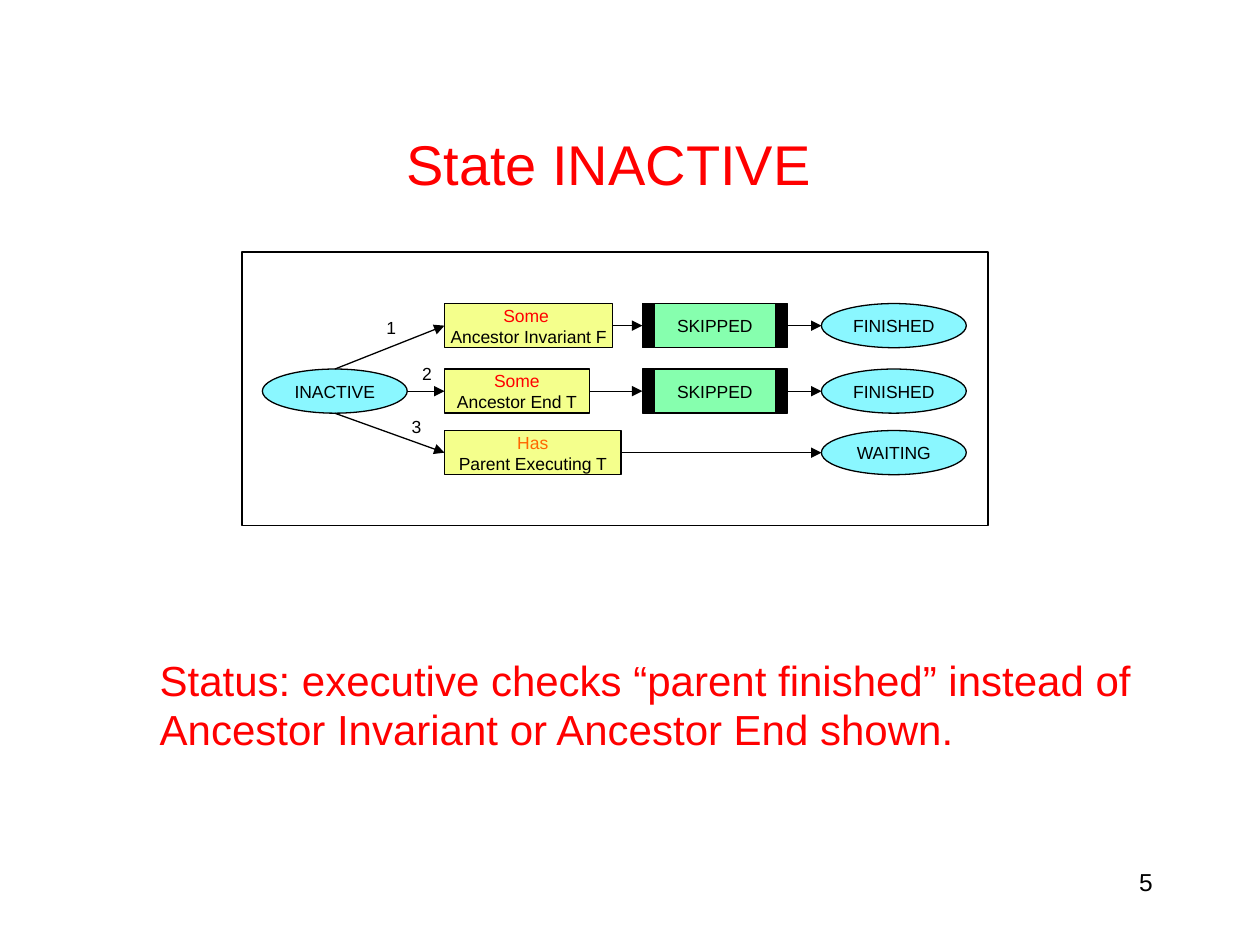
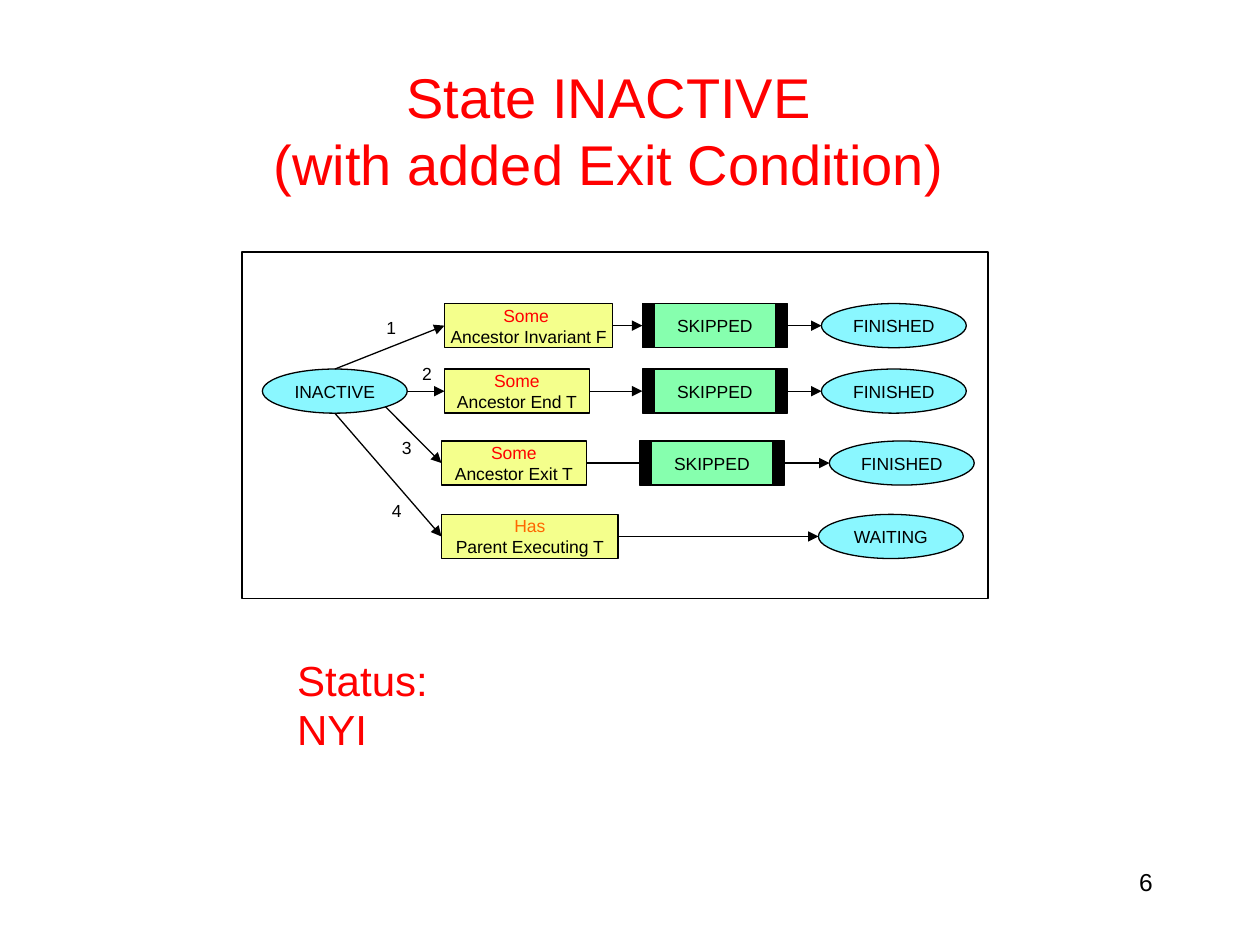
from dataclasses import dataclass

import pptx
import pptx.dml.color
import pptx.enum.shapes
import pptx.enum.text
import pptx.oxml.ns
import pptx.util
from lxml import etree

Cm = pptx.util.Cm
Pt = pptx.util.Pt
RGBColor = pptx.dml.color.RGBColor
MSO_SHAPE = pptx.enum.shapes.MSO_SHAPE
ALIGN = pptx.enum.text.PP_ALIGN
ANCHOR = pptx.enum.text.MSO_ANCHOR
qn = pptx.oxml.ns.qn

# Shared style
FONT = "Arial"
BLACK = RGBColor(0x00, 0x00, 0x00)
RED = RGBColor(0xFF, 0x00, 0x00)
ORANGE = RGBColor(0xFF, 0x66, 0x00)
STATE_BLUE = RGBColor(0x8A, 0xF7, 0xFF)
CONDITION_YELLOW = RGBColor(0xF4, 0xFF, 0x8C)
OUTCOME_GREEN = RGBColor(0x86, 0xFF, 0xAE)
OUTLINE = Pt(0.75)

# Diagram grid, in centimetres
NODE_W, NODE_H = 2.92, 0.89
BAR_W = 0.24
STATE_X, CONDITION_X, OUTCOME_X, RESULT_X = 5.29, 8.96, 12.95, 16.56
STATE_Y = 7.44
STATE_MIDDLE = STATE_X + NODE_W / 2
STATE_TOP = (STATE_MIDDLE, STATE_Y)
STATE_RIGHT = (STATE_X + NODE_W, STATE_Y + NODE_H / 2)
STATE_BOTTOM = (STATE_MIDDLE, STATE_Y + NODE_H)
STATE_CORNER = (7.77, 8.2)


@dataclass
class Transition:
    quantifier: str
    condition: str
    y: float
    start: tuple
    number_at: tuple
    width: float = NODE_W
    outcome: str = "SKIPPED"
    result: str = "FINISHED"
    accent: RGBColor = RED
    shift: float = 0
    result_shift: float = 0
    arrow_overlap: float = 0


def waiting(y, number_at, shift=0):
    return Transition("Has", "Parent Executing T", y, STATE_BOTTOM, number_at,
                      width=3.56, outcome="", result="WAITING", accent=ORANGE,
                      shift=shift, result_shift=shift)


INVARIANT = Transition("Some ", "Ancestor Invariant F", 6.12, STATE_TOP,
                       (7.54, 6.27), width=3.39)
END = Transition("Some", "Ancestor End T", STATE_Y, STATE_RIGHT, (8.26, 7.19))
EXIT = Transition("Some", "Ancestor Exit T", 8.89, STATE_CORNER, (7.85, 8.69),
                  shift=-0.06, result_shift=0.16, arrow_overlap=BAR_W)


def write(frame, *lines, size=10, color=BLACK, first_color=None, align=ALIGN.LEFT,
          anchor=ANCHOR.TOP, wrap=False, spacing=None):
    """Fill a text frame with one paragraph per line."""
    frame.word_wrap = wrap
    frame.vertical_anchor = anchor
    for index, line in enumerate(lines):
        paragraph = frame.add_paragraph() if index else frame.paragraphs[0]
        paragraph.text = line
        paragraph.alignment = align
        if spacing:
            paragraph.line_spacing = spacing
        for run in paragraph.runs:
            run.font.name = FONT
            run.font.size = Pt(size)
            run.font.color.rgb = first_color if first_color and not index else color


def add_label(slide, text, x, y, width, height, **style):
    box = slide.shapes.add_textbox(Cm(x), Cm(y), Cm(width), Cm(height))
    write(box.text_frame, text, **style)


def add_node(slide, x, y, width, *lines, height=NODE_H, fill=None,
             kind=MSO_SHAPE.RECTANGLE, **style):
    node = slide.shapes.add_shape(kind, Cm(x), Cm(y), Cm(width), Cm(height))
    node.shadow.inherit = False
    if fill is None:
        node.fill.background()
    else:
        node.fill.solid()
        node.fill.fore_color.rgb = fill
    node.line.color.rgb = BLACK
    node.line.width = OUTLINE
    if lines:
        write(node.text_frame, *lines, align=ALIGN.CENTER, anchor=ANCHOR.MIDDLE, **style)


def add_state(slide, name, x, y):
    add_node(slide, x, y, NODE_W, name, fill=STATE_BLUE, kind=MSO_SHAPE.OVAL)


def add_outcome(slide, name, x, y):
    for bar_x in (x, x + NODE_W - BAR_W):
        add_node(slide, bar_x, y, BAR_W, fill=BLACK)
    add_node(slide, x + BAR_W, y, NODE_W - 2 * BAR_W, name, fill=OUTCOME_GREEN)


def add_arrow(slide, start, end):
    arrow = slide.shapes.add_connector(
        pptx.enum.shapes.MSO_CONNECTOR.STRAIGHT, *(Cm(v) for v in (*start, *end)))
    arrow.line.color.rgb = BLACK
    arrow.line.width = OUTLINE
    etree.SubElement(arrow.line._get_or_add_ln(), qn("a:tailEnd"), type="triangle")
    etree.SubElement(arrow._element.spPr, qn("a:effectLst"))


def add_transition(slide, number, row):
    """Draw one row: condition, optional outcome, resulting state and arrows."""
    middle = row.y + NODE_H / 2
    condition_x = CONDITION_X + row.shift
    outcome_x = OUTCOME_X + row.shift
    result_x = RESULT_X + row.result_shift

    add_node(slide, condition_x, row.y, row.width, row.quantifier, row.condition,
             fill=CONDITION_YELLOW, first_color=row.accent)
    add_label(slide, str(number), *row.number_at, 0.69, 0.69)
    add_state(slide, row.result, result_x, row.y)
    add_arrow(slide, row.start, (condition_x, middle))

    exit_x = condition_x + row.width
    if row.outcome:
        add_outcome(slide, row.outcome, outcome_x, row.y)
        add_arrow(slide, (exit_x, middle), (outcome_x + row.arrow_overlap, middle))
        exit_x = outcome_x + NODE_W
    add_arrow(slide, (exit_x, middle), (result_x, middle))


def add_state_slide(deck, page, title, transitions, frame_height, title_y=1.7):
    slide = deck.slides.add_slide(deck.slide_layouts[6])
    add_label(slide, str(page), 18.21, 17.35, 5.28, 1.27, size=14,
              align=ALIGN.RIGHT, wrap=True)
    add_label(slide, title, 1.9, title_y, 20.75, 3.18, size=32, color=RED,
              align=ALIGN.CENTER, anchor=ANCHOR.MIDDLE, wrap=True)
    add_node(slide, 4.88, 5.08, 15.04, height=frame_height)
    add_state(slide, "INACTIVE", STATE_X, STATE_Y)
    for number, row in enumerate(transitions, 1):
        add_transition(slide, number, row)
    return slide


def add_status(slide, text, x, width, height, wrap):
    add_label(slide, text, x, 13.13, width, height, size=24, color=RED,
              wrap=wrap, spacing=0.97)


def main():
    deck = pptx.Presentation()
    deck.slide_width, deck.slide_height = Cm(25.4), Cm(19.05)

    # Current behaviour
    current = add_state_slide(deck, 5, "State INACTIVE",
                              [INVARIANT, END, waiting(8.68, (8.05, 8.26))], 5.51)
    add_status(current, "Status: executive checks “parent finished” instead of "
               "Ancestor Invariant or Ancestor End shown.", 2.97, 21.59, 2.23, True)

    # Behaviour with the exit condition; its title sits half a line higher
    extended = add_state_slide(deck, 6, "State INACTIVE\v(with added Exit Condition)",
                               [INVARIANT, END, EXIT, waiting(10.37, (7.65, 9.96), -0.06)],
                               6.99, title_y=1.02)
    add_status(extended, "Status: NYI", 5.74, 4.78, 1.24, False)

    deck.save("out.pptx")


if __name__ == "__main__":
    main()
